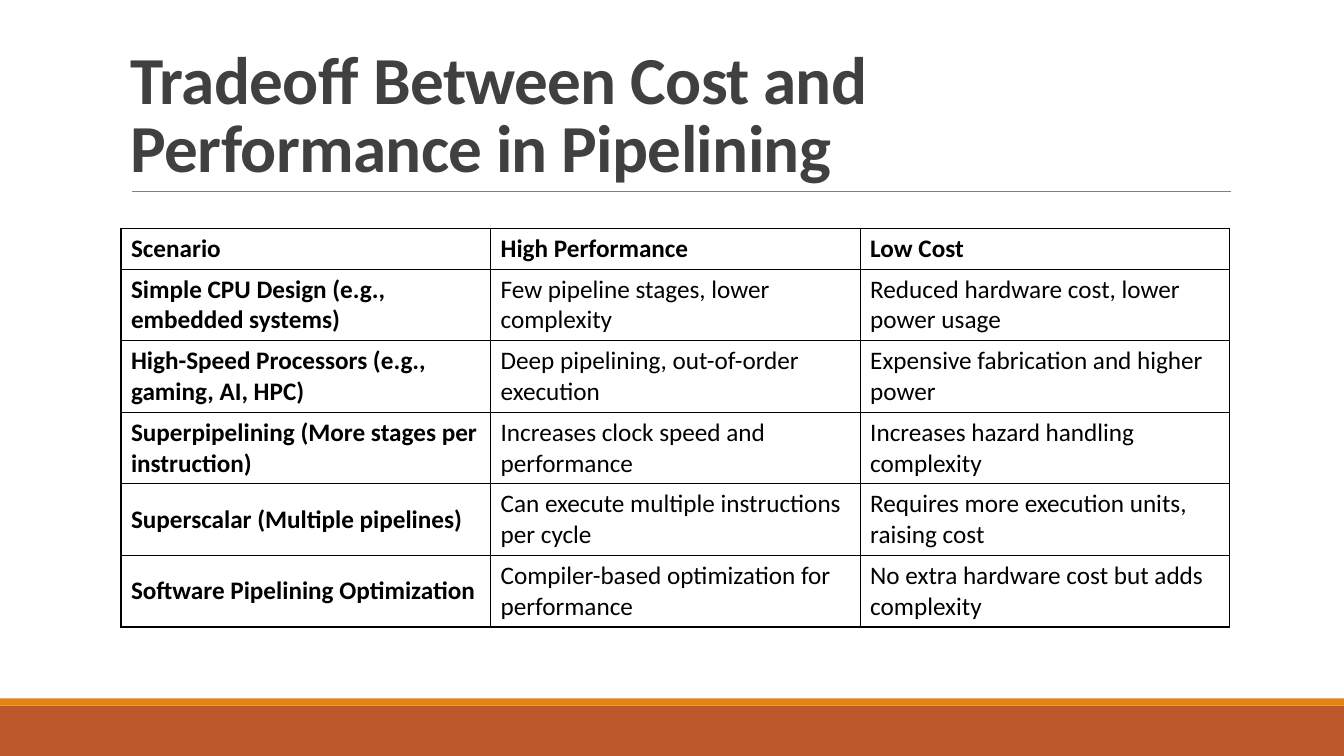
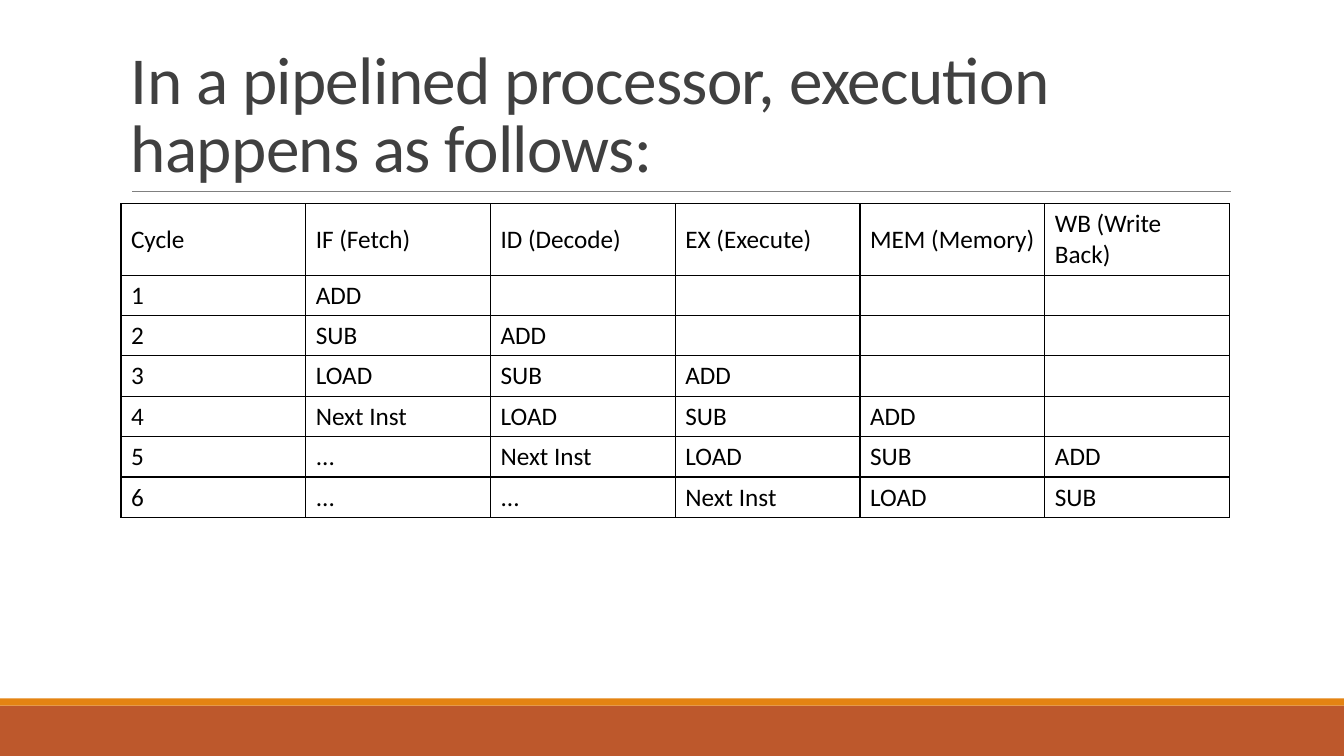
from dataclasses import dataclass

from lxml import etree
from pptx import Presentation
from pptx import util as u
from pptx.dml.color import RGBColor
from pptx.enum import shapes, text
from pptx.oxml.ns import qn


@dataclass(frozen=True)
class Theme:
    face: str = "Calibri"
    rust: str = "BD582C"
    gold: str = "E48312"
    rule: str = "808080"
    head: str = "404040"
    ink: str = "000000"
    paper: str = "FFFFFF"
    title: int = 48
    body: int = 18


T = Theme()
rgb = RGBColor.from_string

deck = Presentation()
deck.slide_width = u.Inches(13.33)
deck.slide_height = u.Inches(7.5)
COL = deck.slide_width / 40
ROW = deck.slide_height / 75
LEFT, WIDE = 3.6, 33
LOW, HIGH = 4, 7.1  # heights of one-line and two-line table rows

BANDS = [(70, 5, T.rust), (69.3, 0.7, T.gold)]

PAGES = [
    {
        "title": "Tradeoff Between Cost and Performance in Pipelining",
        "strong": True,
        "top": 22.7,
        "tall": range(1, 6),
        "cells": [
            ["Scenario", "High Performance", "Low Cost"],
            ["Simple CPU Design (e.g., embedded systems)",
             "Few pipeline stages, lower complexity",
             "Reduced hardware cost, lower power usage"],
            ["High-Speed Processors (e.g., gaming, AI, HPC)",
             "Deep pipelining, out-of-order execution",
             "Expensive fabrication and higher power"],
            ["Superpipelining (More stages per instruction)",
             "Increases clock speed and performance",
             "Increases hazard handling complexity"],
            ["Superscalar (Multiple pipelines)",
             "Can execute multiple instructions per cycle",
             "Requires more execution units, raising cost"],
            ["Software Pipelining Optimization",
             "Compiler-based optimization for performance",
             "No extra hardware cost but adds complexity"],
        ],
    },
    {
        "title": "In a pipelined processor, execution happens as follows:",
        "strong": False,
        "top": 20.2,
        "tall": [0],
        "cells": [
            ["Cycle", "IF (Fetch)", "ID (Decode)", "EX (Execute)",
             "MEM (Memory)", "WB (Write Back)"],
            ["1", "ADD", "", "", "", ""],
            ["2", "SUB", "ADD", "", "", ""],
            ["3", "LOAD", "SUB", "ADD", "", ""],
            ["4", "Next Inst", "LOAD", "SUB", "ADD", ""],
            ["5", "...", "Next Inst", "LOAD", "SUB", "ADD"],
            ["6", "...", "...", "Next Inst", "LOAD", "SUB"],
        ],
    },
]


def area(x, y, w, h):
    """Turn grid columns and rows into slide lengths."""
    return [u.Emu(round(n)) for n in (x * COL, y * ROW, w * COL, h * ROW)]


def write(para, words, size, tone, bold):
    run = para.add_run()
    run.text = words
    look = {"name": T.face, "size": u.Pt(size), "bold": bold}
    for key, value in look.items():
        setattr(run.font, key, value)
    run.font.color.rgb = rgb(tone)
    return run


for page in PAGES:
    slide = deck.slides.add_slide(deck.slide_layouts[6])

    for top, high, tone in BANDS:
        band = slide.shapes.add_shape(
            shapes.MSO_SHAPE.RECTANGLE, *area(0, top, 40, high))
        band.shadow.inherit = False
        band.fill.solid()
        band.fill.fore_color.rgb = rgb(tone)
        band.line.fill.background()

    x, y, end, base = area(3.93, 19, 36.63, 19)
    rule = slide.shapes.add_connector(
        shapes.MSO_CONNECTOR.STRAIGHT, x, y, end, base)
    rule.line.color.rgb = rgb(T.rule)
    rule.line.width = u.Pt(0.5)
    etree.SubElement(rule._element.spPr, qn("a:effectLst"))

    frame = slide.shapes.add_textbox(*area(LEFT, 3.1, WIDE, 15.9)).text_frame
    frame.word_wrap = True
    frame.vertical_anchor = text.MSO_ANCHOR.BOTTOM
    para = frame.paragraphs[0]
    para.line_spacing = 0.85
    run = write(para, page["title"], T.title, T.head, page["strong"])
    run.font._element.set("spc", "-50")

    cells = page["cells"]
    highs = [HIGH if i in page["tall"] else LOW for i in range(len(cells))]
    table = slide.shapes.add_table(
        len(cells), len(cells[0]),
        *area(LEFT, page["top"], WIDE, sum(highs))).table
    table.first_row = table.horz_banding = False

    for i, line in enumerate(cells):
        table.rows[i].height = u.Emu(round(highs[i] * ROW))
        for j, words in enumerate(line):
            cell = table.cell(i, j)
            cell.vertical_anchor = text.MSO_ANCHOR.MIDDLE
            props = cell._tc.get_or_add_tcPr()
            for side in ("lnL", "lnR", "lnT", "lnB"):
                edge = etree.SubElement(
                    props, qn("a:" + side), w=str(u.Pt(1)))
                fill = etree.SubElement(edge, qn("a:solidFill"))
                etree.SubElement(fill, qn("a:srgbClr"), val=T.ink)
            cell.fill.solid()
            cell.fill.fore_color.rgb = rgb(T.paper)
            if words:
                bold = page["strong"] and (i == 0 or j == 0)
                write(cell.text_frame.paragraphs[0], words,
                      T.body, T.ink, bold)

deck.save("out.pptx")
